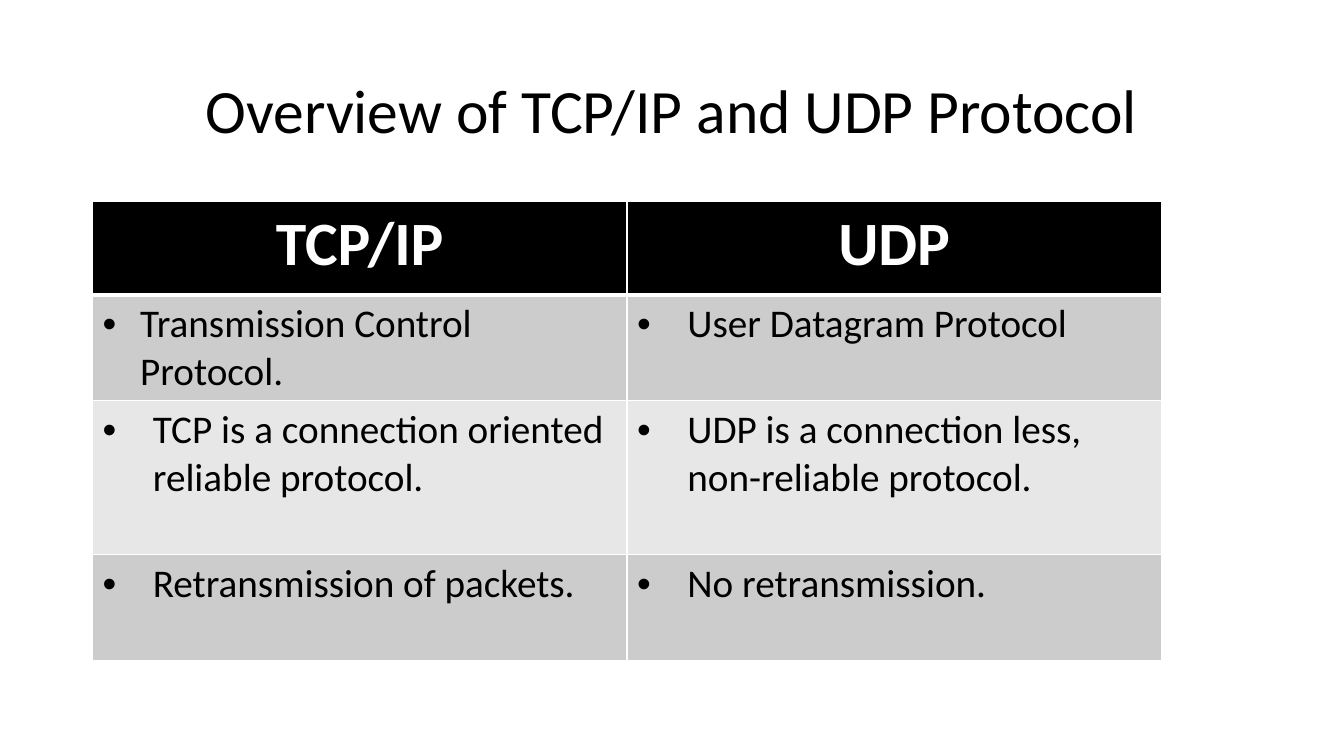
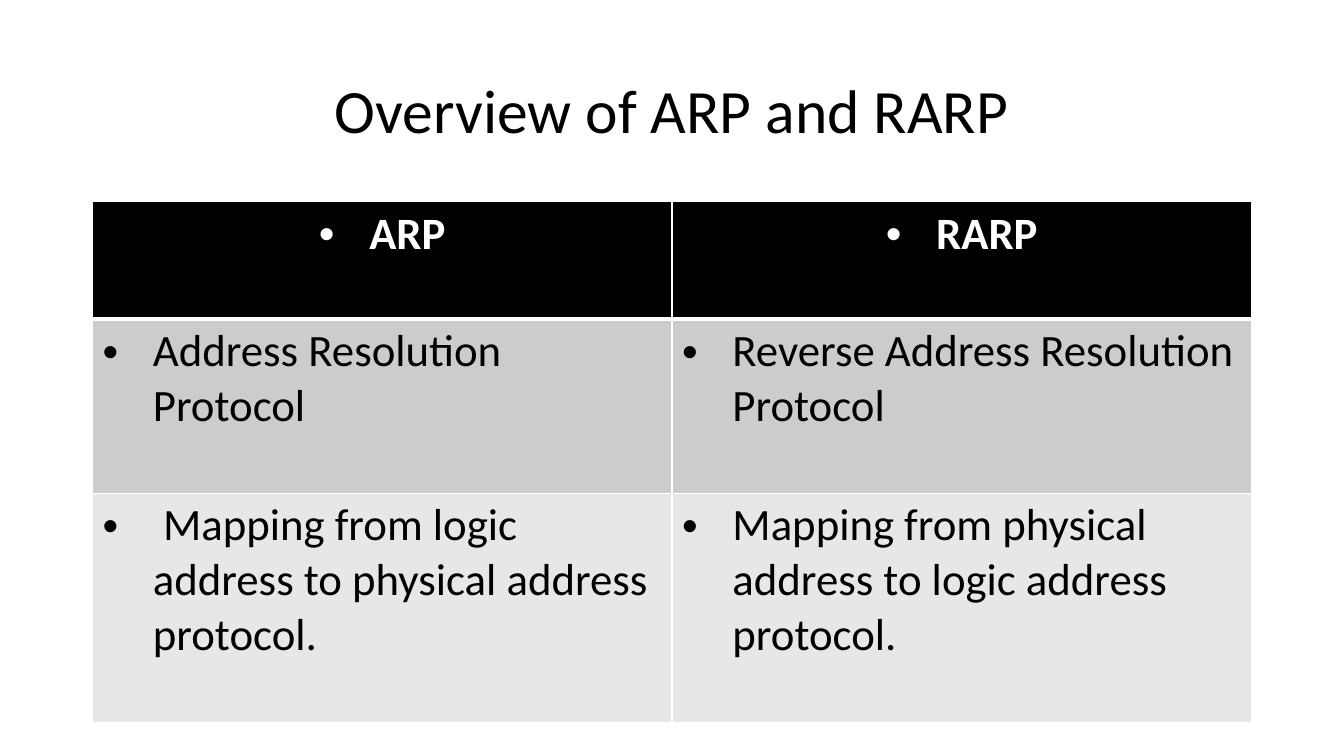
from lxml import etree
from pptx import Presentation
from pptx import util as u
from pptx.dml.color import RGBColor
from pptx.enum import text
from pptx.oxml import ns

BLACK, WHITE = "000000", "FFFFFF"
BANDS = ["CCCCCC", "E7E7E7"]


def color(code):
    return RGBColor.from_string(code)


def add(parent, tag, **attrs):
    return etree.SubElement(parent, ns.qn(tag), attrs)


class Deck:
    font = "Calibri"
    left = 2.33
    width = 29.21

    def __init__(self):
        self.prs = Presentation()
        self.prs.slide_width = u.Cm(33.87)
        self.prs.slide_height = u.Cm(19.05)

    def page(self, title):
        self.slide = self.prs.slides.add_slide(self.prs.slide_layouts[6])
        box = self.slide.shapes.add_textbox(
            u.Cm(self.left), u.Cm(1.01), u.Cm(self.width), u.Cm(3.68))
        frame = box.text_frame
        frame.word_wrap = True
        frame.vertical_anchor = text.MSO_ANCHOR.MIDDLE
        para = frame.paragraphs[0]
        para.line_spacing = 0.9
        self.label(para, title, 44, BLACK, center=True)

    def label(self, para, words, size, ink, bold=False, center=False):
        para.alignment = text.PP_ALIGN.CENTER if center else text.PP_ALIGN.LEFT
        run = para.add_run()
        run.text = words
        run.font.name = self.font
        run.font.size = u.Pt(size)
        run.font.bold = bold
        run.font.color.rgb = color(ink)

    def bullet(self, para, indent):
        props = para._p.get_or_add_pPr()
        props.set("marL", str(u.Cm(indent)))
        props.set("indent", str(-u.Cm(indent)))
        add(props, "a:buFont", typeface="Arial")
        add(props, "a:buChar", char="•")

    def border(self, cell, top, bottom):
        props = cell._tc.get_or_add_tcPr()
        sides = [("L", 1), ("R", 1), ("T", top), ("B", bottom)]
        for spot, (side, width) in enumerate(sides):
            line = add(props, "a:ln" + side, w=str(u.Pt(width)))
            fill = add(line, "a:solidFill")
            add(fill, "a:srgbClr", val=WHITE)
            props.insert(spot, line)

    def table(self, rows, heights, width, head, body, dots=False, indents=None):
        cols = len(rows[0])
        grid = self.slide.shapes.add_table(
            len(rows), cols, u.Cm(self.left), u.Cm(5.08),
            u.Cm(width), u.Cm(sum(heights))).table
        for col in grid.columns:
            col.width = u.Cm(width / cols)
        for r, (row, height) in enumerate(zip(rows, heights)):
            grid.rows[r].height = u.Cm(height)
            top = r == 0
            for c, words in enumerate(row):
                cell = grid.cell(r, c)
                cell.fill.solid()
                cell.fill.fore_color.rgb = color(
                    BLACK if top else BANDS[(r - 1) % 2])
                self.border(cell, 3 if r == 1 else 1, 3 if top else 1)
                para = cell.text_frame.paragraphs[0]
                self.label(para, words, head if top else body,
                           WHITE if top else BLACK, top, top)
                if dots or not top:
                    self.bullet(para, (indents or {}).get((r, c), 1.27))


deck = Deck()

deck.page("Overview of TCP/IP and UDP Protocol")
deck.table([
    ["TCP/IP", "UDP"],
    ["Transmission Control Protocol.", "User Datagram Protocol"],
    ["TCP is a connection oriented reliable protocol.",
     "UDP is a connection less, non-reliable protocol."],
    ["Retransmission of packets.", "No retransmission."],
], [2.35, 2.67, 3.88, 2.67], 26.94, 44, 28, indents={(1, 0): 0.95})

deck.page("Overview of ARP and RARP")
deck.table([
    ["ARP", "RARP"],
    ["Address Resolution Protocol", "Reverse Address Resolution Protocol"],
    [" Mapping from logic address to physical address protocol.",
     "Mapping from physical address to logic address protocol."],
], [2.96, 4.39, 5.78], deck.width, 32, 32, dots=True)

deck.prs.save("out.pptx")
